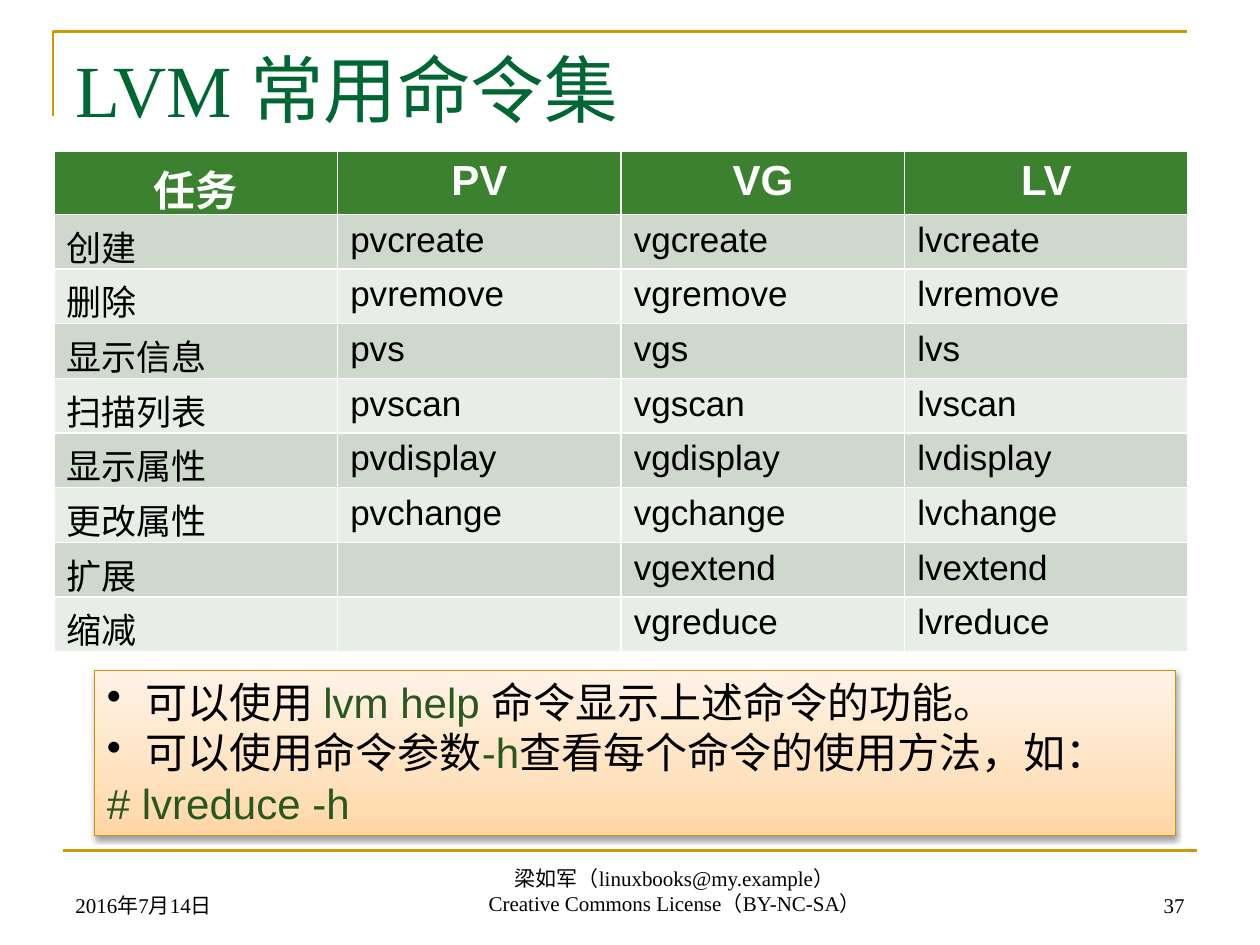
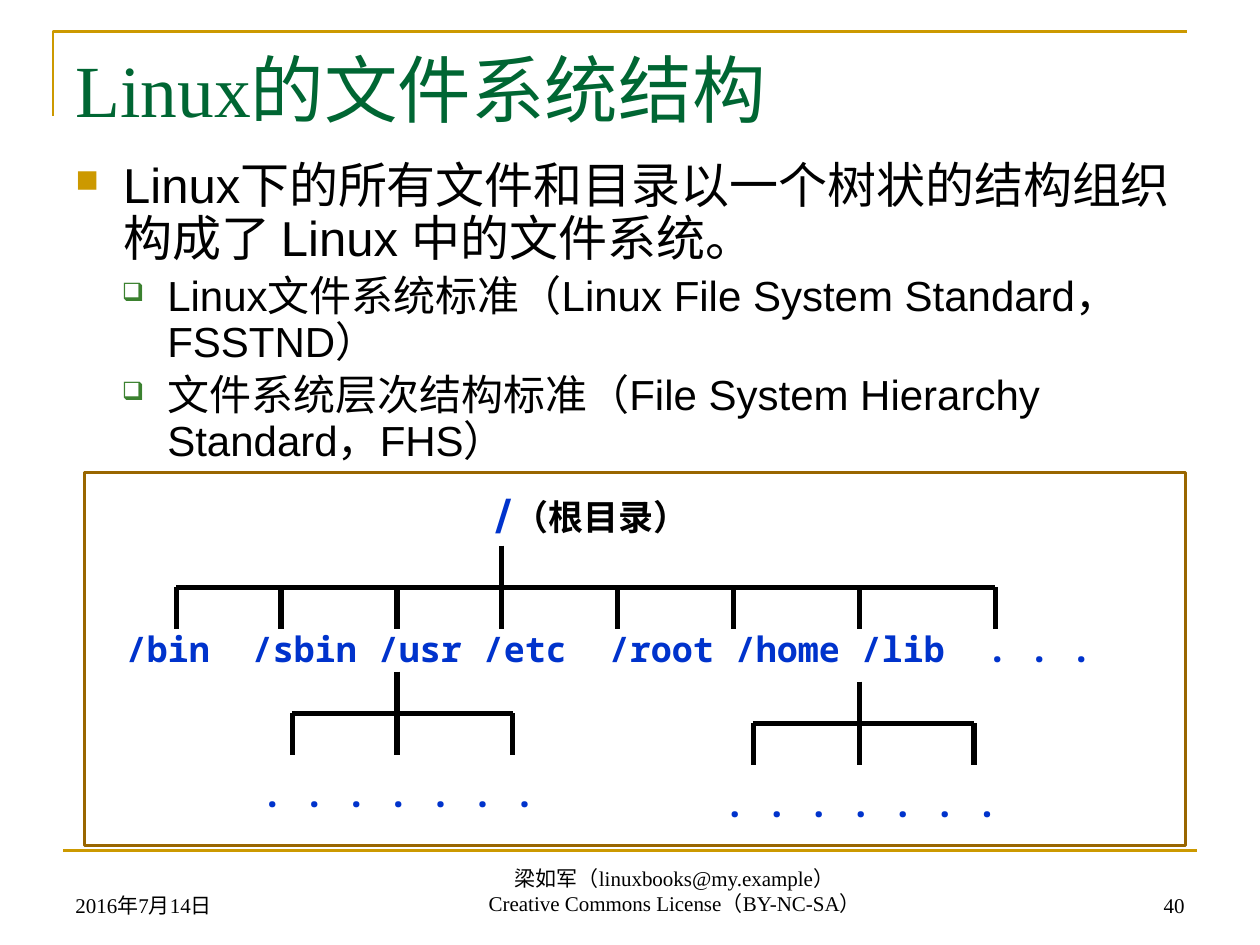
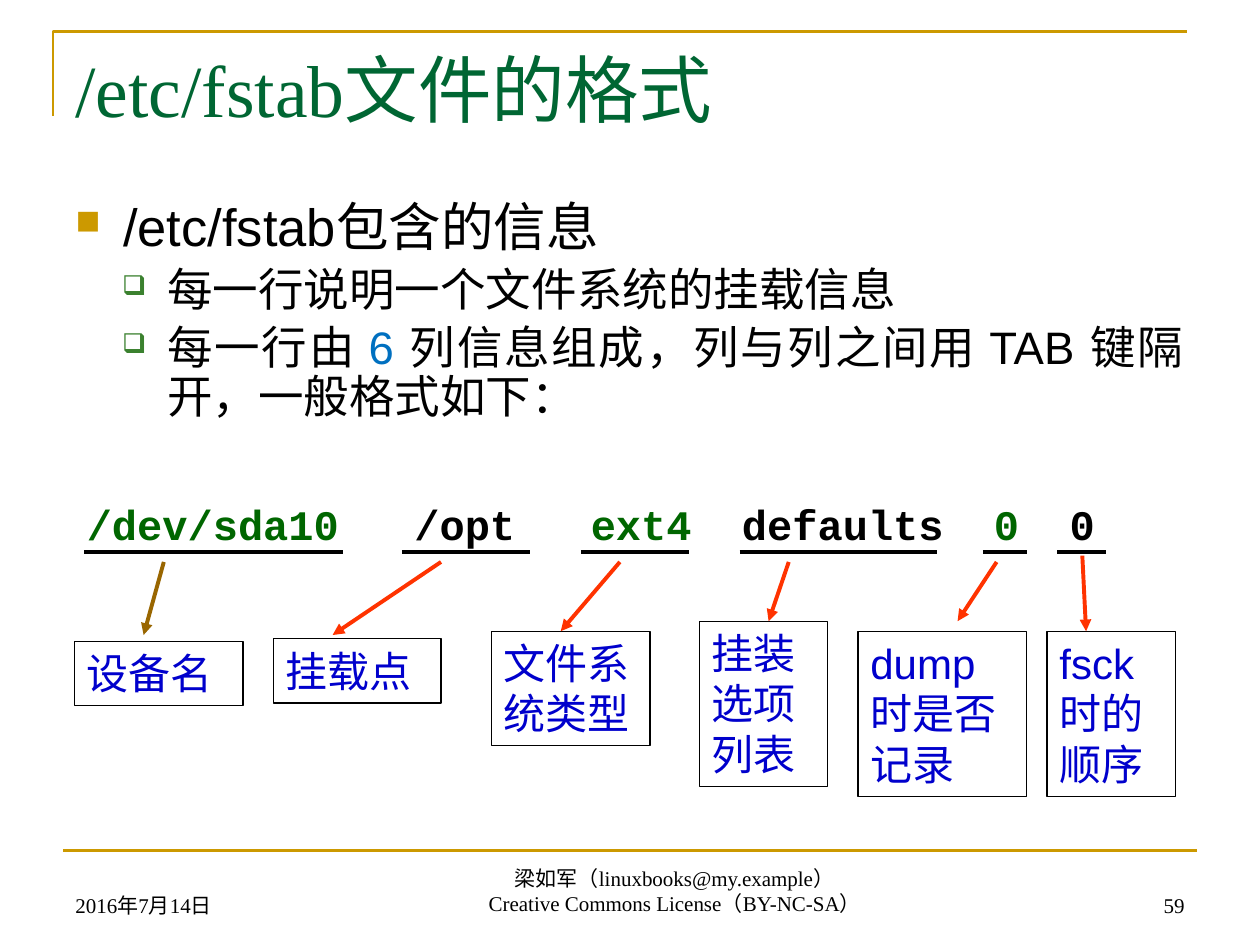
"""Build three Linux storage slides: LVM commands, the directory tree and the fstab format."""
from dataclasses import dataclass, replace

from lxml.etree import SubElement
from pptx import Presentation
from pptx.dml.color import RGBColor
from pptx.enum.shapes import MSO_CONNECTOR, MSO_SHAPE
from pptx.enum.text import MSO_ANCHOR, PP_ALIGN
from pptx.oxml.ns import qn
from pptx.util import Inches, Pt


@dataclass(frozen=True)
class Style:
    size: float
    color: str = "000000"
    font: str = "Arial"
    bold: bool = False
    align: PP_ALIGN = PP_ALIGN.LEFT
    line_spacing: float = 1.0
    before: float = 0
    margin: float = 0
    hang: float = 0
    bullet: str = ""
    bullet_color: str = "000000"
    bullet_percent: int = 100
    tabs: tuple = ()


@dataclass(frozen=True)
class Theme:
    gold: str = "CC9900"
    black: str = "000000"
    command: str = "285720"
    callout_line: str = "C89600"
    callout_stops: tuple = ((0, "FFD6A5"), (35, "FFE2BF"), (100, "FFF3E7"))
    header_fill: str = "3B812F"
    row_fills: tuple = ("CED8CD", "E8EDE8")
    brown: str = "996600"
    red: str = "FF3300"
    field: str = "006600"
    number: str = "0070C0"
    title: Style = Style(42, "006633", "Times New Roman")
    footer: Style = Style(12, font="Times New Roman")
    point: Style = Style(28, line_spacing=0.9, margin=3.8, hang=3.8,
                         bullet="■", bullet_color="CC9900", bullet_percent=65)
    detail: Style = Style(24, line_spacing=0.9, before=4.8, margin=7.3, hang=3.6,
                          bullet="❑", bullet_color="3B812F", bullet_percent=60)
    header: Style = Style(24, "FFFFFF", bold=True, align=PP_ALIGN.CENTER)
    cell: Style = Style(20)
    hint: Style = Style(24, margin=3.1, hang=3.1, bullet="•")
    example: Style = Style(24, "285720")
    root: Style = Style(24, "0033CC", "Karla", True)
    folder: Style = Style(20, "0033CC", "Noto Sans Mono", True,
                          tabs=tuple(round(characters * 5 / 3, 2)
                                     for characters in (6, 12, 17, 23, 29, 35, 41)))
    entry: Style = Style(24, "006600", "Courier New", True, tabs=(26, 40, 52, 72, 78))
    label: Style = Style(24, "0000CC")


theme = Theme()
deck = Presentation()
deck.slide_width, deck.slide_height = Inches(10), Inches(7.5)
unit = deck.slide_width // 100


def fill_text(frame, paragraphs):
    for index, (style, *spans) in enumerate(paragraphs):
        para = frame.paragraphs[0] if index == 0 else frame.add_paragraph()
        properties = para._p.get_or_add_pPr()
        if style.bullet:
            properties.set("marL", str(round(style.margin * unit)))
            properties.set("indent", str(round(-style.hang * unit)))
            bullet_color = SubElement(properties, qn("a:buClr"))
            SubElement(bullet_color, qn("a:srgbClr"), val=style.bullet_color)
            SubElement(properties, qn("a:buSzPct"), val=str(style.bullet_percent * 1000))
            SubElement(properties, qn("a:buChar"), char=style.bullet)
        if style.tabs:
            tab_list = SubElement(properties, qn("a:tabLst"))
            for stop in style.tabs:
                SubElement(tab_list, qn("a:tab"), pos=str(round(stop * unit)), algn="l")
        para.alignment = style.align
        para.line_spacing = style.line_spacing
        if index:
            para.space_before = Pt(style.before)
        para.font.name, para.font.size, para.font.bold = style.font, Pt(style.size), style.bold
        para.font.color.rgb = RGBColor.from_string(style.color)
        for text, *changes in spans:
            span = para.add_run()
            span.text = text
            if changes:
                span.font.color.rgb = RGBColor.from_string(changes[0])
            if len(changes) > 1:
                span.font.size = Pt(changes[1])


def add_item(page, area, paragraphs=(), line=None, width=0.75, kind="text", anchor=MSO_ANCHOR.TOP):
    left, top, right, bottom = (round(length * unit) for length in area)
    if kind == "line":
        item = page.shapes.add_connector(MSO_CONNECTOR.STRAIGHT, left, top, right, bottom)
    elif kind == "box":
        item = page.shapes.add_shape(MSO_SHAPE.RECTANGLE, left, top, right, bottom)
        item.fill.background()
        item.shadow.inherit = False
    else:
        item = page.shapes.add_textbox(left, top, right, bottom)
    if line:
        item.line.color.rgb = RGBColor.from_string(line)
        item.line.width = Pt(width)
    if kind == "line":
        SubElement(item._element.spPr, qn("a:effectLst"))
    else:
        item.text_frame.word_wrap = True
        item.text_frame.vertical_anchor = anchor
        fill_text(item.text_frame, paragraphs)
    return item


pages = []
for title, number in (("LVM 常用命令集", "37"), ("Linux的文件系统结构", "40"),
                      ("/etc/fstab文件的格式", "59")):
    page = deck.slides.add_slide(deck.slide_layouts[6])
    pages.append(page)
    outline = page.shapes.build_freeform(round(4.2 * unit), round(9.2 * unit))
    outline.add_line_segments([(round(4.2 * unit), round(2.5 * unit)),
                               (round(94.2 * unit), round(2.5 * unit))], close=False)
    corner = outline.convert_to_shape()
    corner.fill.background()
    corner.shadow.inherit = False
    corner.line.color.rgb = RGBColor.from_string(theme.gold)
    corner.line.width = Pt(1.5)
    add_item(page, (5, 67.5, 95, 67.5), line=theme.gold, width=1.5, kind="line")
    add_item(page, (5, 3, 90, 12.5), [(theme.title, (title,))])
    for area, align, lines in (
            ((5, 68.3, 23.3, 5), PP_ALIGN.LEFT, ["2016年7月14日"]),
            ((24, 68.2, 59.1, 5), PP_ALIGN.CENTER,
             ["梁如军（linuxbooks@my.example）", "Creative Commons License（BY-NC-SA）"]),
            ((71.7, 68.3, 23.3, 5), PP_ALIGN.RIGHT, [number])):
        footer = replace(theme.footer, align=align)
        add_item(page, area, [(footer, (text,)) for text in lines], anchor=MSO_ANCHOR.BOTTOM)

commands_page, tree_page, fstab_page = pages

callout = add_item(commands_page, (7.5, 53.2, 85.8, 13.1), [
    (theme.hint, ("可以使用 ",), ("lvm help ", theme.command), ("命令显示上述命令的功能。",)),
    (theme.hint, ("可以使用命令参数",), ("-h", theme.command), ("查看每个命令的使用方法，如：",)),
    (theme.example, ("# lvreduce -h",))], line=theme.callout_line, kind="box")
callout.fill.gradient()
callout.fill.gradient_angle = 90
stops = callout._element.spPr.find(qn("a:gradFill")).find(qn("a:gsLst"))
stops.clear()
for position, color in theme.callout_stops:
    stop = SubElement(stops, qn("a:gs"), pos=str(position * 1000))
    SubElement(stop, qn("a:srgbClr"), val=color)
shadow = SubElement(callout._element.spPr.find(qn("a:effectLst")), qn("a:outerShdw"),
                    blurRad="40000", dist="20000", dir="5400000", rotWithShape="0")
shadow_color = SubElement(shadow, qn("a:srgbClr"), val=theme.black)
SubElement(shadow_color, qn("a:alpha"), val="38000")

command_rows = [
    ("任务", "PV", "VG", "LV"),
    ("创建", "pvcreate", "vgcreate", "lvcreate"),
    ("删除", "pvremove", "vgremove", "lvremove"),
    ("显示信息", "pvs", "vgs", "lvs"),
    ("扫描列表", "pvscan", "vgscan", "lvscan"),
    ("显示属性", "pvdisplay", "vgdisplay", "lvdisplay"),
    ("更改属性", "pvchange", "vgchange", "lvchange"),
    ("扩展", "", "vgextend", "lvextend"),
    ("缩减", "", "vgreduce", "lvreduce"),
]
table_height = round(39.7 * unit)
table_frame = commands_page.shapes.add_table(
    len(command_rows), 4, round(4.3 * unit), 12 * unit, 90 * unit, table_height)
for row_index, texts in enumerate(command_rows):
    table_frame.table.rows[row_index].height = round(4.1 * unit)
    fill = theme.row_fills[(row_index - 1) % 2] if row_index else theme.header_fill
    for column_index, text in enumerate(texts):
        cell = table_frame.table.cell(row_index, column_index)
        cell.fill.solid()
        cell.fill.fore_color.rgb = RGBColor.from_string(fill)
        style = theme.cell if row_index else theme.header
        fill_text(cell.text_frame, [(style, (text,)) if text else (style,)])
table_frame.height = table_height

add_item(tree_page, (5, 12.3, 90, 54.7), [
    (theme.point, ("Linux下的所有文件和目录以一个树状的结构组织构成了 Linux 中的文件系统。",)),
    (theme.detail, ("Linux文件系统标准（Linux File System Standard，FSSTND）",)),
    (theme.detail, ("文件系统层次结构标准（File System Hierarchy Standard，FHS）",))])
add_item(tree_page, (38.2, 38.3, 21.7, 5),
         [(theme.root, ("/",), ("（根目录）", theme.black, 20))])
branch_height = 3.3
for trunk, top, branches in (
        (39.8, 43.3, (14, 22.3, 31.5, 39.8, 49, 58.2, 68.2, 79)),
        (31.5, 53.3, (23.2, 31.5, 40.7)),
        (68.2, 54.1, (59.8, 68.2, 77.3))):
    bar = top + branch_height
    segments = [(branches[0], bar, branches[-1], bar), (trunk, top, trunk, bar)]
    segments += [(branch, bar, branch, bar + branch_height) for branch in branches]
    for segment in segments:
        add_item(tree_page, segment, line=theme.black, width=3, kind="line")
for area, text in (
        ((9, 49.3, 85.8, 4.3), "/bin\t/sbin\t/usr\t/etc\t/root\t/home\t/lib\t. . ."),
        ((19.8, 60.8, 27.5, 4.3), ". . . . . . ."),
        ((56.5, 61.6, 27.5, 4.3), ". . . . . . .")):
    add_item(tree_page, area, [(theme.folder, (text,))])
add_item(tree_page, (6.7, 37.5, 87.4, 29.6), line=theme.brown, width=1.5, kind="box")

point = replace(theme.point, size=30, align=PP_ALIGN.JUSTIFY)
detail = replace(theme.detail, size=26, before=5.2, align=PP_ALIGN.JUSTIFY)
add_item(fstab_page, (5, 15.5, 89.9, 21.3), [
    (point, ("/etc/fstab包含的信息",)),
    (detail, ("每一行说明一个文件系统的挂载信息",)),
    (detail, ("每一行由 ",), ("6 ", theme.number),
     ("列信息组成，列与列之间用 TAB 键隔开，一般格式如下：",))])
add_item(fstab_page, (5.9, 39.1, 85.8, 5.8), [
    (theme.entry, ("/dev/sda10\t",), ("/opt\t", theme.black), ("ext4\t",),
     ("defaults\t", theme.black), ("0\t",), ("0", theme.black))])
underline_top = 43.8
for label, area, underline, arrow, arrow_color in (
        ("设备名", (5.9, 50.9, 13.4, 5.1), (6.7, 27.2), (13, 44.6, 11.4, 50.4), theme.brown),
        ("挂载点", (21.7, 50.7, 13.3, 5.1), (31.9, 42.1), (35, 44.6, 26.4, 50.4), theme.red),
        ("文件系统类型", (39, 50.1, 12.6, 9.1), (46.1, 54.7), (49.2, 44.6, 44.5, 50.1), theme.red),
        ("挂装选项列表", (55.5, 49.3, 10.2, 13.1), (58.7, 74.4), (62.6, 44.6, 61, 49.3), theme.red),
        ("dump时是否记录", (68.1, 50.1, 13.4, 13.1), (78, 81.5), (79.1, 44.6, 76, 49.3), theme.red),
        ("fsck时的顺序", (83.1, 50.1, 10.2, 13.1), (83.9, 87.8), (85.9, 44.1, 86.2, 50.1), theme.red)):
    add_item(fstab_page, area, [(theme.label, (label,))], line=theme.black, kind="box")
    start, end = underline
    add_item(fstab_page, (start, underline_top, end, underline_top),
             line=theme.black, width=2.25, kind="line")
    pointer = add_item(fstab_page, arrow, line=arrow_color, width=2.25, kind="line")
    SubElement(pointer._element.spPr.find(qn("a:ln")), qn("a:tailEnd"), type="triangle")

deck.save("out.pptx")
